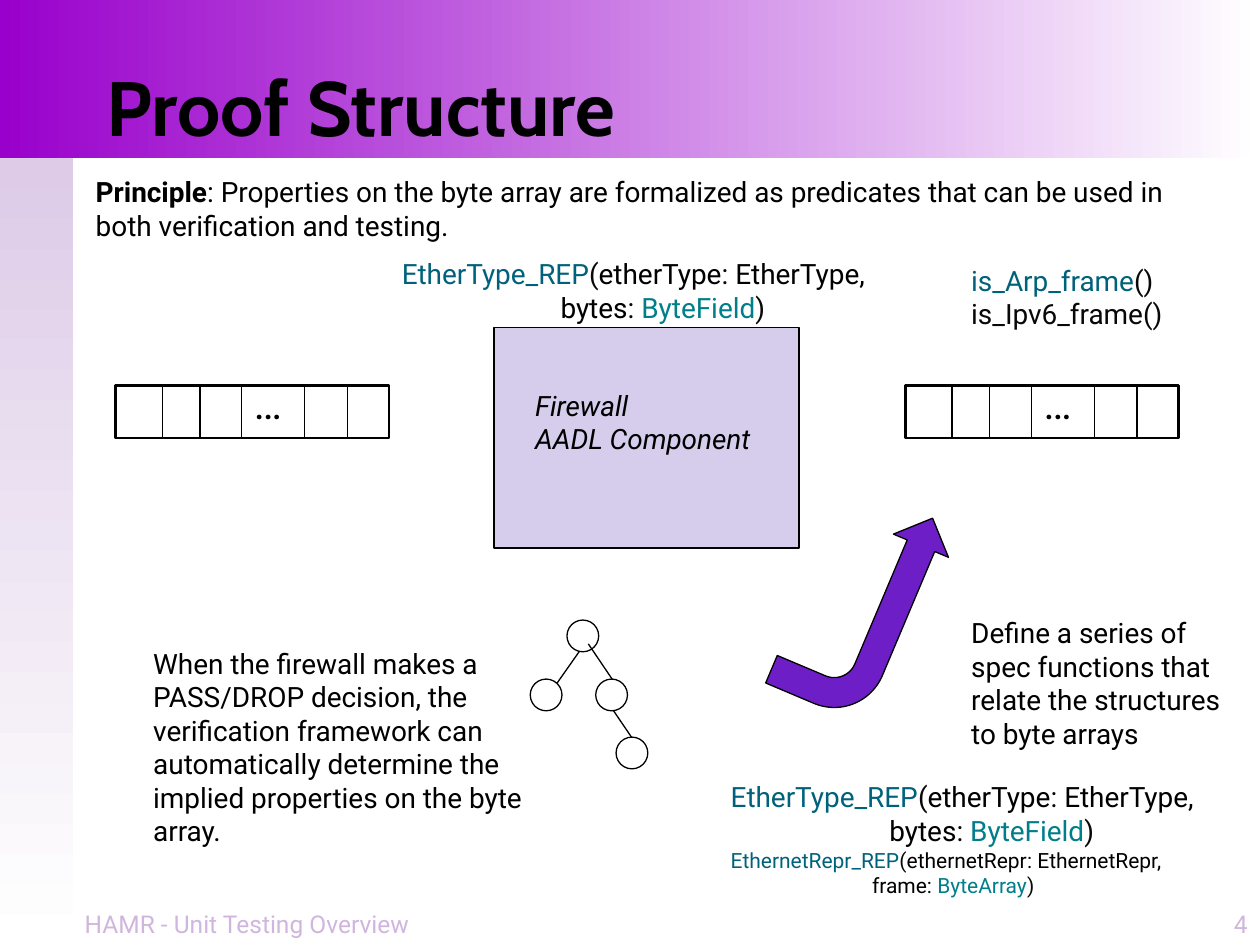
from lxml.etree import SubElement
from pptx import Presentation
from pptx.dml.color import RGBColor as Rgb
from pptx.enum.shapes import MSO_CONNECTOR as Link, MSO_SHAPE as Kind
from pptx.enum.text import MSO_ANCHOR as Anchor, PP_ALIGN as Align
from pptx.oxml.ns import qn
from pptx.util import Cm, Pt

THEME = {
    "ink": "000000", "mark": "080808", "call": "00627A", "type": "007E8A",
    "faint": "D0B6DE", "panel": "D6CDEC", "arrow": "6E1EC6",
    "banner": ("9900CC", "FFFFFF"), "sidebar": ("DDCBE7", "FFFFFF"),
    "title": 44, "dots": 24, "body": 16, "footer": 14, "small": 12,
    "heading_font": "Cabin", "body_font": "Roboto",
    "thin": 0.75, "thick": 1.5,
}


def signature(call, first, first_type, second, second_type, indent, size="body"):
    return [
        {"size": size, "spans": [(call, "call"), ("(", "mark"), (first, "ink"),
                                 (": ", "mark"), (first_type + ",", "ink")]},
        {"size": size, "indent": indent,
         "spans": [(second, "ink"), (": ", "mark"), (second_type, "type"), (")", "mark")]},
    ]


def plain(*lines, **options):
    return [{"spans": [(line, "ink")], **options} for line in lines]


ETHER_TYPE = signature("EtherType_REP", "etherType", "EtherType", "bytes", "ByteField", 3.2)
ETHERNET = signature("EthernetRepr_REP", "ethernetRepr", "EthernetRepr",
                     "frame", "ByteArray", 2.85, "small")

TEXTS = [
    ((1.9, 0, 22.66, 3.18), Anchor.BOTTOM,
     plain("Proof Structure", size="title", face="heading_font", format={"bold": True})),
    ((0, 18.21, 9.96, 0.84), Anchor.BOTTOM,
     [{"spans": [("HAMR - Unit Testing Overview", "faint")], "size": "footer",
       "align": Align.CENTER}]),
    ((24.13, 17.78, 1.27, 1.27), Anchor.BOTTOM,
     [{"spans": [("4", "faint")], "size": "footer", "align": Align.RIGHT}]),
    ((1.68, 3.4, 22.66, 1.63), Anchor.TOP,
     [{"spans": [("Principle", "ink", {"bold": True}),
                 (": Properties on the byte array are formalized as predicates that "
                  "can be used in both verification and testing.", "ink")]}]),
    ((7.85, 5.05, 10.29, 1.63), Anchor.TOP, ETHER_TYPE),
    ((14.48, 15.6, 10.29, 2.64), Anchor.TOP, ETHER_TYPE + ETHERNET),
    ((19.33, 12.29, 6.07, 3), Anchor.TOP,
     plain("Define a series of spec functions that relate the structures to byte arrays")),
    ((2.84, 12.9, 8.31, 4.37), Anchor.TOP,
     plain("When the firewall makes a PASS/DROP decision, the verification framework "
           "can automatically determine the implied properties on the byte array.")),
    ((19.33, 5.18, 4.52, 1.63), Anchor.TOP,
     [{"spans": [("is_Arp_frame", "call"), ("()", "mark")]},
      {"spans": [("is_Ipv6_frame()", "mark")]}]),
    ((10.54, 7.7, 4.93, 1.63), Anchor.TOP,
     plain("Firewall", "AADL Component", format={"italic": True})),
]

BANNERS = [((0, 3.18, 1.47, 15.87), "sidebar", 270), ((0, 0, 25.4, 3.18), "banner", 0)]
COMPONENT = (9.96, 6.6, 6.15, 4.45)
BEND = (15.21, 11.02, 4.37, 2.41)
ARRAY_LEFTS, ARRAY_TOP, ARRAY_SIZE = (2.33, 18.25), 7.77, (5.51, 1.06)
DIVIDERS = (0.94, 1.7, 2.54, 3.81, 4.67)
DOTS_OFFSET, DOTS_SIZE = (2.54, -0.28), (1.22, 1.27)
NODES, NODE_SIZE = [(11.43, 12.5), (10.69, 13.69), (12.01, 13.69), (12.42, 14.86)], 0.64
EDGES = [(11.68, 13.13, 11.23, 13.77), (11.86, 12.98, 12.34, 13.69),
         (12.37, 14.33, 12.73, 14.86)]


def color(name):
    return Rgb.from_string(THEME[name])


def lengths(values):
    return [Cm(value) for value in values]


def apply(target, formats):
    for name, value in formats.items():
        setattr(target, name, value)


def add_line(shapes, *ends):
    line = shapes.add_connector(Link.STRAIGHT, *lengths(ends))
    line.line.color.rgb = color("ink")
    line.line.width = Pt(THEME["thin"])
    SubElement(line._element.spPr, qn("a:effectLst"))


def add_outline(shapes, kind, place, fill=None, width="thin"):
    shape = shapes.add_shape(kind, *lengths(place))
    shape.shadow.inherit = False
    if fill:
        shape.fill.solid()
        shape.fill.fore_color.rgb = color(fill)
    else:
        shape.fill.background()
    shape.line.color.rgb = color("ink")
    shape.line.width = Pt(THEME[width])
    return shape


def add_banner(shapes, place, name, angle):
    shape = shapes.add_shape(Kind.RECTANGLE, *lengths(place))
    shape.shadow.inherit = False
    shape.line.fill.background()
    shape.fill.gradient()
    shape.fill.gradient_angle = angle
    for stop, position, tint in zip(shape.fill.gradient_stops, (0, 1), THEME[name]):
        stop.position = position
        stop.color.rgb = Rgb.from_string(tint)


def add_text(shapes, place, anchor, paragraphs):
    box = shapes.add_textbox(*lengths(place))
    frame = box.text_frame
    apply(frame, {"word_wrap": True, "vertical_anchor": anchor})
    for index, content in enumerate(paragraphs):
        para = frame.add_paragraph() if index else frame.paragraphs[0]
        para.alignment = content.get("align", Align.LEFT)
        if "indent" in content:
            para._p.get_or_add_pPr().set("marL", str(Cm(content["indent"])))
        for words, ink, *extra in content["spans"]:
            span = para.add_run()
            span.text = words
            apply(span.font, {
                "name": THEME[content.get("face", "body_font")],
                "size": Pt(THEME[content.get("size", "body")]),
                **content.get("format", {}), **(extra[0] if extra else {}),
            })
            span.font.color.rgb = color(ink)


def add_byte_array(page, left):
    group = page.shapes.add_group_shape().shapes
    add_outline(group, Kind.RECTANGLE, (left, ARRAY_TOP, *ARRAY_SIZE), width="thick")
    for offset in DIVIDERS:
        add_line(group, left + offset, ARRAY_TOP, left + offset, ARRAY_TOP + ARRAY_SIZE[1])
    corner = (left + DOTS_OFFSET[0], ARRAY_TOP + DOTS_OFFSET[1])
    add_text(group, (*corner, *DOTS_SIZE), Anchor.TOP, plain("…", size="dots"))


def main():
    deck = Presentation()
    apply(deck, {"slide_width": Cm(25.4), "slide_height": Cm(19.05)})
    page = deck.slides.add_slide(deck.slide_layouts[6])
    for banner in BANNERS:
        add_banner(page.shapes, *banner)
    for left in ARRAY_LEFTS:
        add_byte_array(page, left)
    add_outline(page.shapes, Kind.RECTANGLE, COMPONENT, "panel")
    for node in NODES:
        add_outline(page.shapes, Kind.OVAL, (*node, NODE_SIZE, NODE_SIZE))
    for edge in EDGES:
        add_line(page.shapes, *edge)
    arrow = add_outline(page.shapes, Kind.BENT_ARROW, BEND, "arrow")
    arrow.rotation = 292.9
    arrow._element.spPr.xfrm.set("flipV", "1")
    for text in TEXTS:
        add_text(page.shapes, *text)
    deck.save("out.pptx")


if __name__ == "__main__":
    main()
